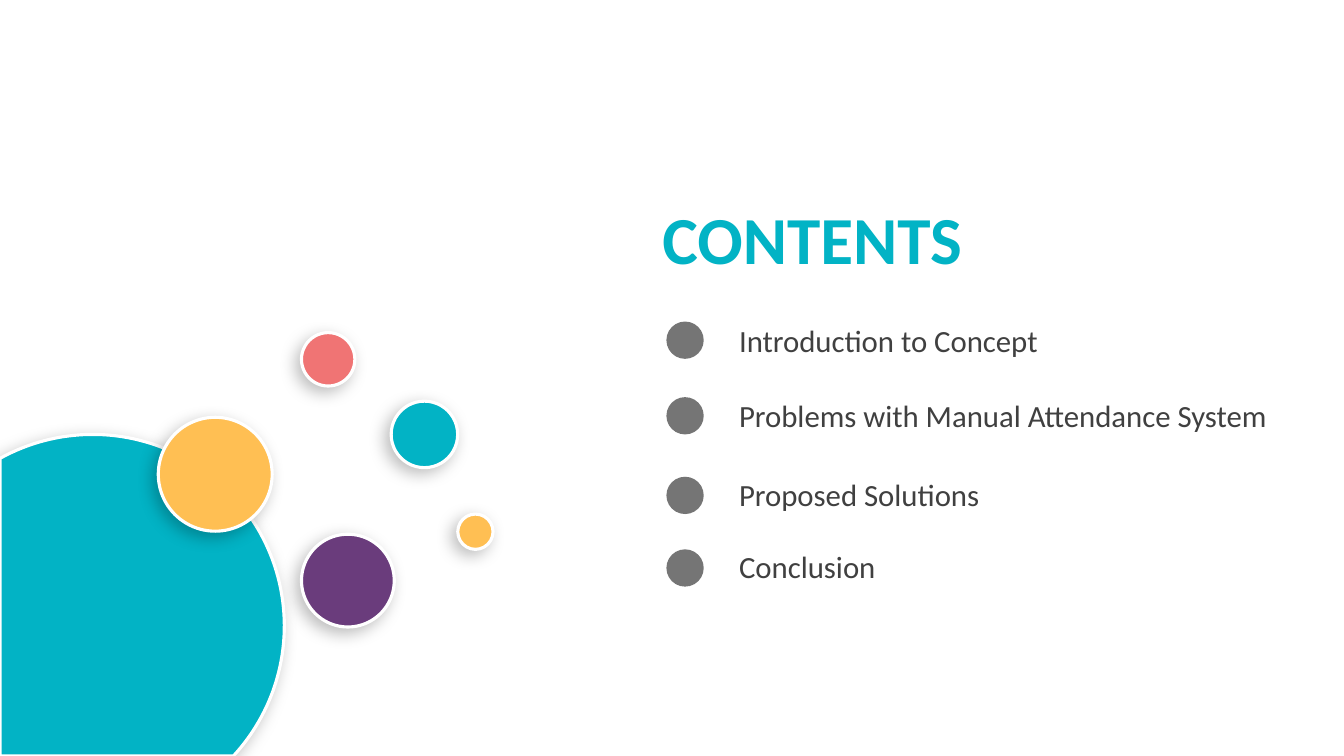
"""Build the contents slide: a bubble cluster beside a four-item agenda."""
from math import atan2, cos, sin

from lxml.etree import SubElement
from pptx import Presentation
from pptx.dml.color import RGBColor
from pptx.enum.shapes import MSO_SHAPE
from pptx.enum.text import MSO_ANCHOR, MSO_AUTO_SIZE, PP_ALIGN
from pptx.oxml import parse_xml
from pptx.oxml.ns import nsdecls, qn
from pptx.util import Inches, Pt

TEAL = RGBColor(0x02, 0xB3, 0xC5)
PURPLE = RGBColor(0x6A, 0x3C, 0x7C)
YELLOW = RGBColor(0xFF, 0xBF, 0x53)
CORAL = RGBColor(0xF0, 0x74, 0x74)
GREY = RGBColor(0x40, 0x40, 0x40)
WHITE = RGBColor(0xFF, 0xFF, 0xFF)

SLIDE_W, SLIDE_H = 13.33, 7.5
FONT = "Calibri"
ITEM_SIZE = 22
LINE_HEIGHT = ITEM_SIZE * 1.22
DOT_X, DOT_SIZE, TEXT_X = 6.61, 0.37, 7.23
SHADOW = (
    f'<a:effectLst {nsdecls("a")}>'
    '<a:outerShdw blurRad="152400" dist="63500" dir="8100000" algn="tr" rotWithShape="0">'
    '<a:srgbClr val="000000"><a:alpha val="26000"/></a:srgbClr>'
    '</a:outerShdw></a:effectLst>'
)


def style_bubble(sp, color):
    sp.fill.solid()
    sp.fill.fore_color.rgb = color
    sp.line.color.rgb = WHITE
    sp.line.width = Pt(2.25)
    sp._element.spPr.append(parse_xml(SHADOW))


def format_paragraph(p, size, color, bold):
    p.alignment = PP_ALIGN.LEFT
    font = p.runs[0].font
    font.name, font.size, font.bold = FONT, Pt(size), bold
    font.color.rgb = color


prs = Presentation()
prs.slide_width, prs.slide_height = Inches(SLIDE_W), Inches(SLIDE_H)
s = prs.slides.add_slide(prs.slide_layouts[1])

cx, cy, radius = 0.92, 6.21, 1.9
start = atan2(-(radius**2 - cx**2) ** 0.5, -cx)
end = atan2(SLIDE_H - cy, (radius**2 - (SLIDE_H - cy) ** 2) ** 0.5)
steps = 90
angles = [start + (end - start) * i / steps for i in range(steps + 1)]
arc = [(Inches(cx + radius * cos(a)), Inches(cy + radius * sin(a))) for a in angles]
builder = s.shapes.build_freeform(0, Inches(SLIDE_H))
builder.add_line_segments(arc, close=True)
style_bubble(builder.convert_to_shape(), TEAL)

bubbles = [
    (2.99, 5.3, 0.92, PURPLE),
    (3.88, 3.98, 0.66, TEAL),
    (1.57, 4.14, 1.13, YELLOW),
    (2.99, 3.3, 0.53, CORAL),
    (4.54, 5.1, 0.35, YELLOW),
]
for x, y, size, color in bubbles:
    sp = s.shapes.add_shape(MSO_SHAPE.OVAL, Inches(x), Inches(y), Inches(size), Inches(size))
    style_bubble(sp, color)

title, body = s.shapes.title, s.placeholders[1]
title.left, title.top = Inches(6.47), Inches(1.9)
title.width, title.height = Inches(3.77), Inches(0.91)
title.text_frame.text = "CONTENTS"
format_paragraph(title.text_frame.paragraphs[0], 48, TEAL, True)

items = [
    ("Introduction to Concept", 3.19),
    ("Problems with Manual Attendance System", 3.94),
    ("Proposed Solutions", 4.73),
    ("Conclusion", 5.45),
]
body.left, body.top = Inches(TEXT_X), Inches(3.14)
body.width, body.height = Inches(5.94), Inches(2.73)
tf = body.text_frame
tf.text = "\n".join(label for label, y in items)
for frame, anchor in ((title.text_frame, MSO_ANCHOR.MIDDLE), (tf, MSO_ANCHOR.TOP)):
    frame.word_wrap = True
    frame.auto_size = MSO_AUTO_SIZE.NONE
    frame.vertical_anchor = anchor

previous_y = None
for p, (label, y) in zip(tf.paragraphs, items):
    format_paragraph(p, ITEM_SIZE, GREY, False)
    gap = 0 if previous_y is None else (y - previous_y) * 72 - LINE_HEIGHT
    p.space_before = Pt(round(gap, 1))
    pPr = p._p.get_or_add_pPr()
    pPr.set("marL", "0")
    pPr.set("indent", "0")
    SubElement(pPr, qn("a:buNone"))
    previous_y = y

    dot = s.shapes.add_shape(
        MSO_SHAPE.OVAL, Inches(DOT_X), Inches(y), Inches(DOT_SIZE), Inches(DOT_SIZE)
    )
    dot.shadow.inherit = False
    dot.line.fill.background()
    dot.fill.solid()
    dot.fill.fore_color.rgb = GREY
    srgb = dot._element.spPr.find(".//" + qn("a:srgbClr"))
    SubElement(srgb, qn("a:alpha")).set("val", "72000")

prs.save("out.pptx")
